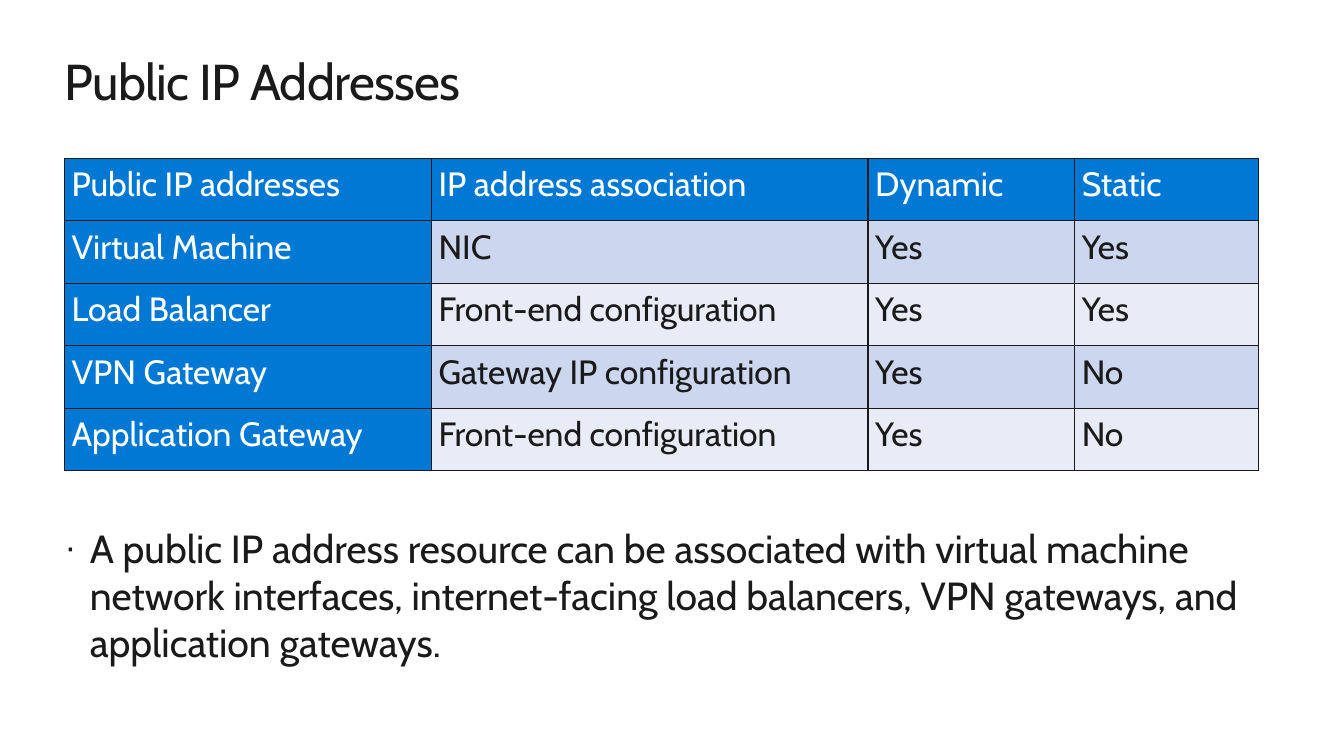
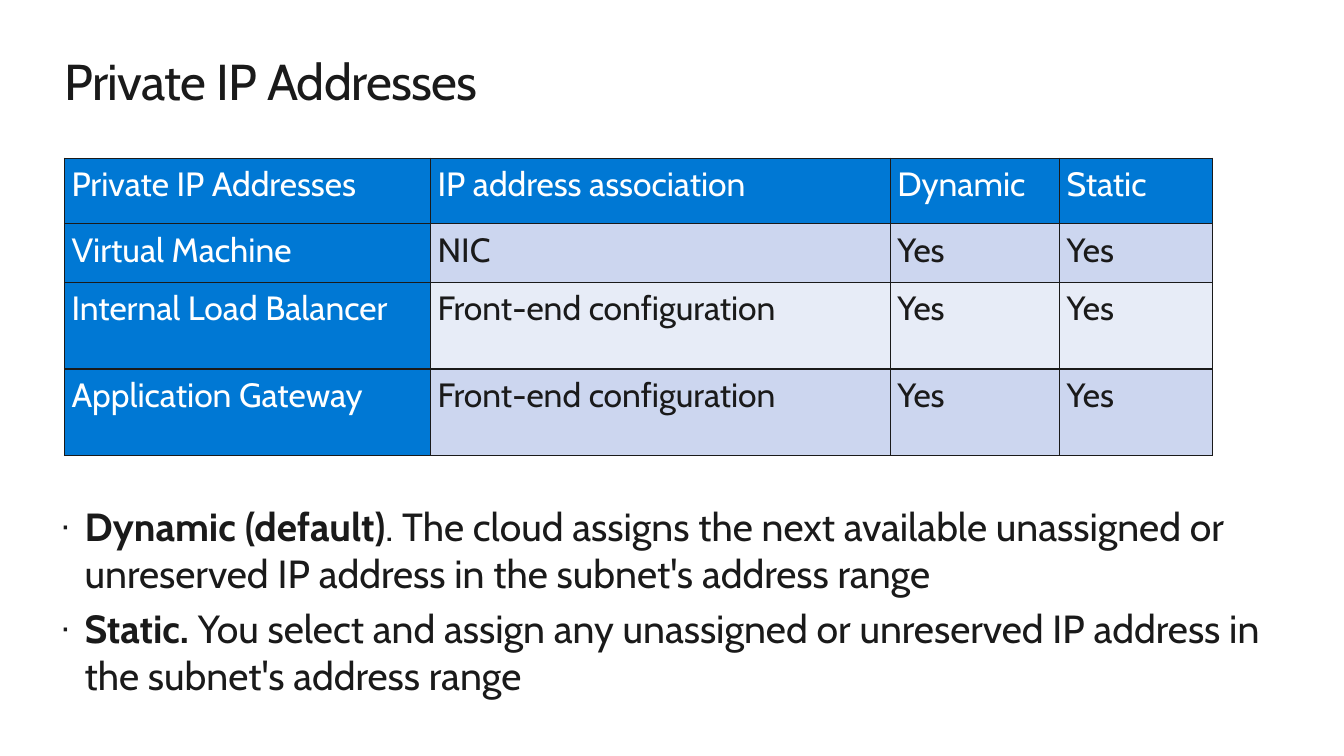
from dataclasses import dataclass

from lxml import etree
from pptx import Presentation
from pptx import util as u
from pptx.dml.color import RGBColor
from pptx.enum import text
from pptx.oxml import ns


@dataclass(frozen=True)
class Theme:
    """Colours, font and type sizes shared by the slides."""

    ink: str = "1A1A1A"
    white: str = "FFFFFF"
    header: str = "0078D4"
    bands: tuple = ("CCD6EF", "E7ECF7")
    font: str = "Cabin"
    title_size: int = 36
    body_size: int = 28
    table_size: int = 24


THEME = Theme()
LEFT = 0.64
TEXT_WIDTH = 12.05
TABLE_TOP = 1.57


def apply(target, values):
    """Set every attribute in values on target."""
    for name, value in values.items():
        setattr(target, name, value)


def add_child(parent, tag, **attributes):
    """Append a DrawingML element and return it."""
    return etree.SubElement(parent, ns.qn(tag), attributes)


def write_run(paragraph, words, size, color, bold=False):
    """Add a formatted run to a paragraph and return it."""
    run = paragraph.add_run()
    run.text = words
    apply(run.font, {"name": THEME.font, "size": u.Pt(size), "bold": bold})
    run.font.color.rgb = RGBColor.from_string(color)
    return run


def place(placeholder, left, top, width, height):
    """Move a placeholder, clear its margins and return its text frame."""
    apply(placeholder, {
        "left": u.Inches(left), "top": u.Inches(top),
        "width": u.Inches(width), "height": u.Inches(height),
    })
    frame = placeholder.text_frame
    apply(frame, {
        "margin_left": 0, "margin_top": 0, "margin_right": 0, "margin_bottom": 0,
        "word_wrap": True, "vertical_anchor": text.MSO_ANCHOR.TOP,
        "auto_size": text.MSO_AUTO_SIZE.SHAPE_TO_FIT_TEXT,
    })
    return frame


def write_title(slide, words):
    """Fill the title placeholder."""
    frame = place(slide.shapes.title, LEFT, 0.5, TEXT_WIDTH, 0.61)
    heading = frame.paragraphs[0]
    heading.alignment = text.PP_ALIGN.LEFT
    run = write_run(heading, words, THEME.title_size, THEME.ink)
    run.font._element.set("spc", "-50")


def write_bullets(slide, left, top, bullets):
    """Fill the body placeholder with bullets of (words, bold) parts."""
    frame = place(slide.placeholders[1], left, top, TEXT_WIDTH, 1.98)
    for index, parts in enumerate(bullets):
        bullet = frame.add_paragraph() if index else frame.paragraphs[0]
        bullet.space_before = u.Pt(THEME.body_size * 0.2)
        properties = bullet._p.get_or_add_pPr()
        indent = u.Inches(0.25)
        properties.set("marL", str(indent))
        properties.set("indent", str(-indent))
        add_child(properties, "a:buSzPct", val="90000")
        add_child(properties, "a:buChar", char="·")
        for words, bold in parts:
            write_run(bullet, words, THEME.body_size, THEME.ink, bold)


def add_borders(cell):
    """Draw a thin dark line on each side of a cell."""
    properties = cell._tc.get_or_add_tcPr()
    for side in ("a:lnL", "a:lnR", "a:lnT", "a:lnB"):
        line = add_child(properties, side, w=str(u.Pt(1)))
        add_child(add_child(line, "a:solidFill"), "a:srgbClr", val=THEME.ink)


def write_cell(cell, words, fill, color):
    """Format and fill one table cell."""
    apply(cell, {
        "margin_left": u.Inches(0.07), "margin_right": u.Inches(0.07),
        "margin_top": 0, "margin_bottom": 0,
        "vertical_anchor": text.MSO_ANCHOR.TOP,
    })
    add_borders(cell)
    cell.fill.solid()
    cell.fill.fore_color.rgb = RGBColor.from_string(fill)
    line = cell.text_frame.paragraphs[0]
    line.line_spacing = 1.15
    write_run(line, words, THEME.table_size, color)


def add_address_table(slide, widths, heights, rows):
    """Add a table with a blue header row and column and banded cells."""
    table = slide.shapes.add_table(
        len(rows), len(widths), u.Inches(LEFT), u.Inches(TABLE_TOP),
        u.Inches(sum(widths)), u.Inches(sum(heights)),
    ).table
    apply(table, {"first_row": False, "horz_banding": False})
    for column, width in zip(table.columns, widths):
        column.width = u.Inches(width)
    for row, height in zip(table.rows, heights):
        row.height = u.Inches(height)
    for r, labels in enumerate(rows):
        for c, words in enumerate(labels):
            is_header = r == 0 or c == 0
            fill = THEME.header if is_header else THEME.bands[(r - 1) % 2]
            color = THEME.white if is_header else THEME.ink
            write_cell(table.cell(r, c), words, fill, color)


def add_address_slide(deck, title, widths, heights, rows, bullets_at, bullets):
    """Add a slide with a title, an address table and bullets."""
    slide = deck.slides.add_slide(deck.slide_layouts[1])
    write_title(slide, title)
    write_bullets(slide, *bullets_at, bullets)
    add_address_table(slide, widths, heights, rows)


def main():
    """Build and save the deck."""
    deck = Presentation()
    apply(deck, {"slide_width": u.Inches(13.33), "slide_height": u.Inches(7.5)})
    columns = ("IP address association", "Dynamic", "Static")
    add_address_slide(
        deck, "Public IP Addresses",
        (3.64, 4.33, 2.05, 1.82), (0.62,) * 5,
        (
            ("Public IP addresses", *columns),
            ("Virtual Machine", "NIC", "Yes", "Yes"),
            ("Load Balancer", "Front-end configuration", "Yes", "Yes"),
            ("VPN Gateway", "Gateway IP configuration", "Yes", "No"),
            ("Application Gateway", "Front-end configuration", "Yes", "No"),
        ),
        (LEFT, 5.2),
        [[("A public IP address resource can be associated with virtual machine "
           "network interfaces, internet-facing load balancers, VPN gateways, "
           "and application gateways.", False)]],
    )
    add_address_slide(
        deck, "Private IP Addresses",
        (3.63, 4.56, 1.68, 1.52), (0.65, 0.58, 0.86, 0.86),
        (
            ("Private IP Addresses", *columns),
            ("Virtual Machine", "NIC", "Yes", "Yes"),
            ("Internal Load Balancer", "Front-end configuration", "Yes", "Yes"),
            ("Application Gateway", "Front-end configuration", "Yes", "Yes"),
        ),
        (0.59, 4.98),
        [
            [("Dynamic (default)", True),
             (". The cloud assigns the next available unassigned or unreserved "
              "IP address in the subnet's address range", False)],
            [("Static.", True),
             (" You select and assign any unassigned or unreserved IP address "
              "in the subnet's address range", False)],
        ],
    )
    deck.save("out.pptx")


if __name__ == "__main__":
    main()
